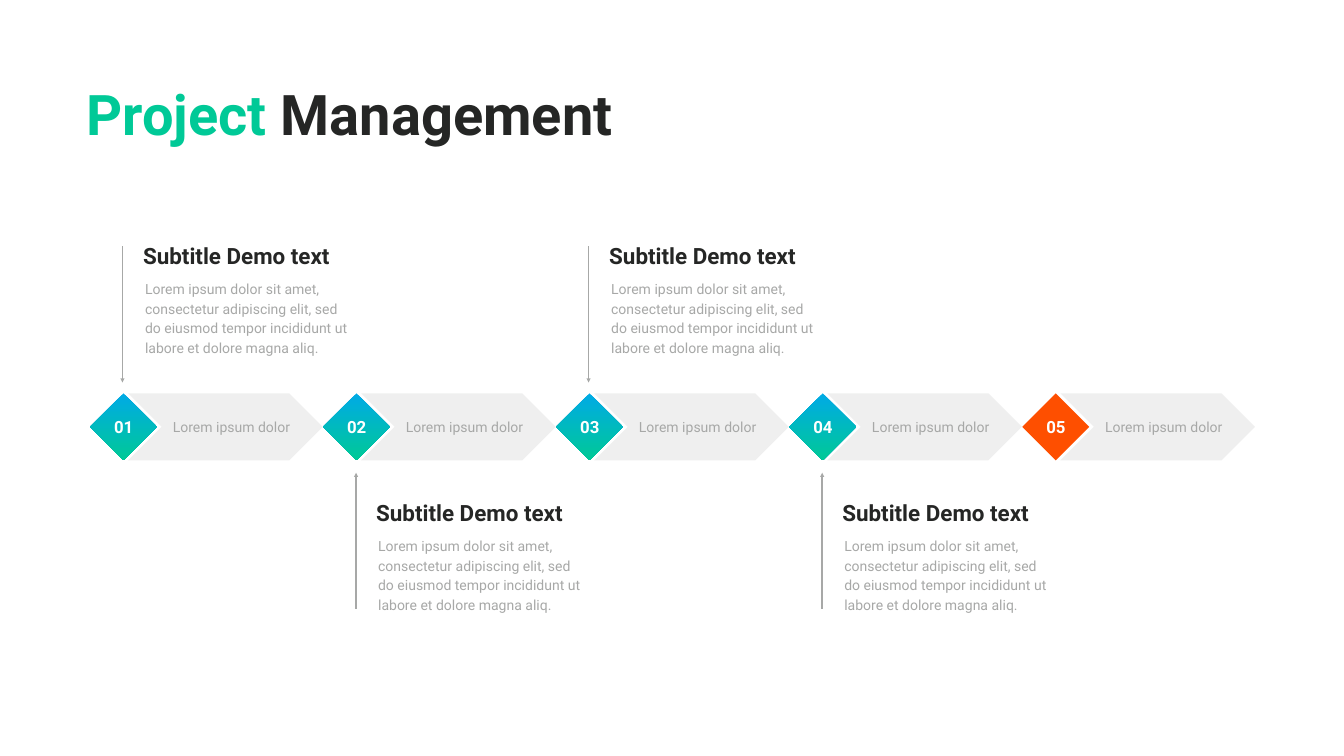
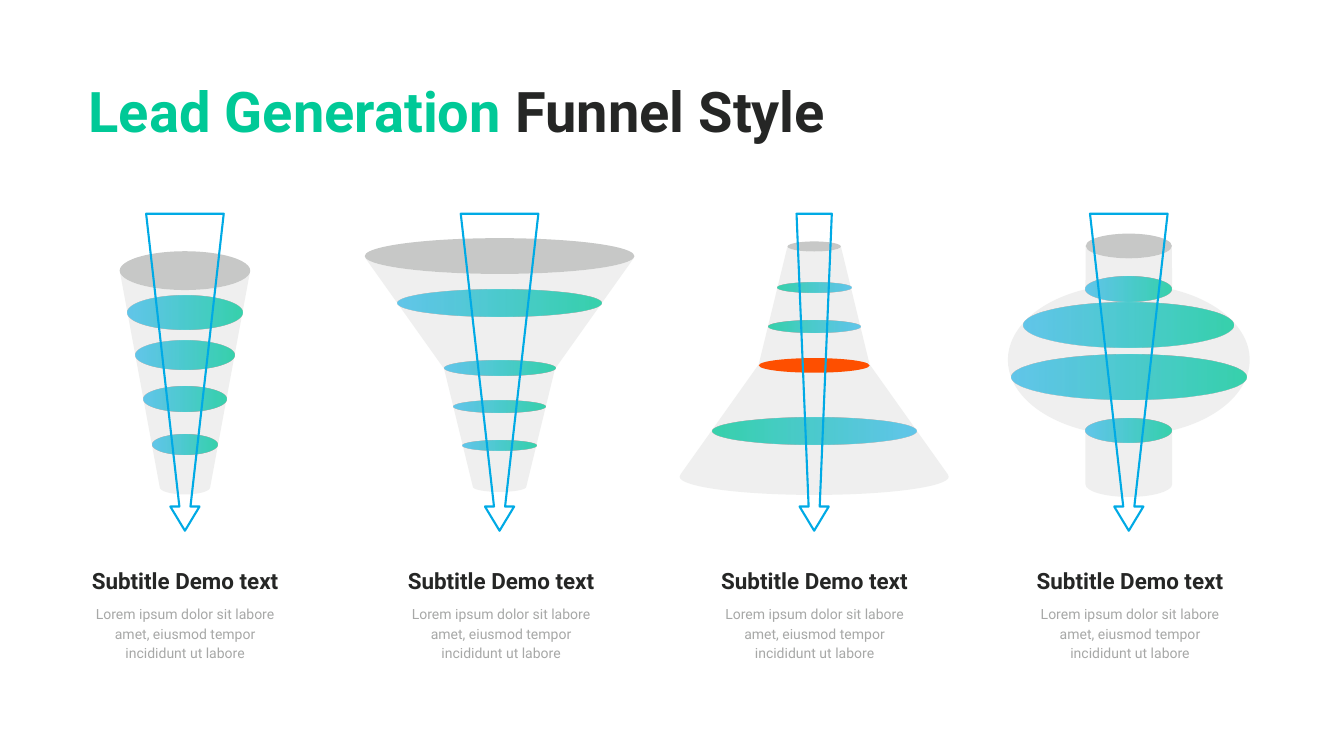
"""Build a project timeline slide and a lead generation funnel slide."""
import math
from dataclasses import dataclass

from pptx import Presentation
from pptx.dml.color import RGBColor
from pptx.enum.shapes import MSO_CONNECTOR, MSO_SHAPE
from pptx.enum.text import MSO_ANCHOR, MSO_AUTO_SIZE, PP_ALIGN
from pptx.oxml.ns import qn
from pptx.util import Inches, Pt
from lxml import etree

LEFT, CENTER = PP_ALIGN.LEFT, PP_ALIGN.CENTER
TOP, MIDDLE = MSO_ANCHOR.TOP, MSO_ANCHOR.MIDDLE
GROW = MSO_AUTO_SIZE.SHAPE_TO_FIT_TEXT
RECT, OVAL = MSO_SHAPE.RECTANGLE, MSO_SHAPE.OVAL
STRAIGHT = MSO_CONNECTOR.STRAIGHT

Point = tuple[float, float]
Segment = list[Point]


@dataclass(frozen=True)
class Theme:
    font: str = "Roboto"
    green: str = "00C997"
    blue: str = "00AAE5"
    orange: str = "FE4F00"
    dark: str = "252625"
    grey: str = "A7A8A7"
    silver: str = "C7C8C7"
    white: str = "FEFFFE"
    title: int = 80
    subtitle: int = 32
    number: int = 24
    body: int = 20
    leading: int = 28
    pale: int = 28
    thin: int = 2
    thick: int = 3


T = Theme()


@dataclass(frozen=True)
class TextStyle:
    size: int
    color: str
    bold: bool = False
    align: PP_ALIGN = LEFT
    anchor: MSO_ANCHOR = TOP
    inset: Point = (0.06, 0.06)
    leading: int | None = None


TITLE = TextStyle(T.title, T.dark, True)
SUBTITLE = TextStyle(T.subtitle, T.dark, True, anchor=MIDDLE)
SUBTITLE_MID = TextStyle(T.subtitle, T.dark, True, CENTER, MIDDLE)
NUMBER = TextStyle(T.number, T.white, True, CENTER, MIDDLE)
BODY = TextStyle(T.body, T.grey, inset=(0.1, 0.05), leading=T.leading)
BODY_MID = TextStyle(T.body, T.grey, align=CENTER, inset=(0.1, 0.05), leading=T.leading)


@dataclass(frozen=True)
class Disk:
    y: float
    w: float
    h: float
    accent: bool = False


@dataclass(frozen=True)
class Funnel:
    caption_x: float
    rim: Disk
    right: list[Segment]
    left: list[Segment]
    bulge: float
    disks: list[Disk]
    spear: float = 0.77
    turn: int = 0


def rgb(color: str) -> RGBColor:
    return RGBColor.from_string(color)


def style_text(sp, runs: list[tuple[str, str]], st: TextStyle) -> None:
    tf = sp.text_frame
    tf.word_wrap = True
    tf.auto_size = GROW
    tf.vertical_anchor = st.anchor
    tf.margin_left = tf.margin_right = Inches(st.inset[0])
    tf.margin_top = tf.margin_bottom = Inches(st.inset[1])
    p = tf.paragraphs[0]
    p.alignment = st.align
    if st.leading:
        p.line_spacing = Pt(st.leading)
    p.font.name, p.font.size, p.font.bold = T.font, Pt(st.size), st.bold
    p.font.color.rgb = rgb(st.color)
    for text, color in runs:
        r = p.add_run()
        r.text = text
        if color != st.color:
            r.font.color.rgb = rgb(color)


def add_text(s, x: float, y: float, w: float, h: float, text: str, st: TextStyle) -> None:
    sp = s.shapes.add_textbox(Inches(x), Inches(y), Inches(w), Inches(h))
    style_text(sp, [(text, st.color)], st)


def add_titled_slide(prs, x: float, y: float, w: float, lead: str, rest: str):
    s = prs.slides.add_slide(prs.slide_layouts[5])
    sp = s.shapes.title
    sp.left, sp.top, sp.width, sp.height = Inches(x), Inches(y), Inches(w), Inches(1.46)
    style_text(sp, [(lead, T.green), (rest, T.dark)], TITLE)
    return s


def set_alpha(sp, *percents: int) -> None:
    for clr, percent in zip(sp.element.spPr.iter(qn("a:srgbClr")), percents):
        etree.SubElement(clr, qn("a:alpha")).set("val", str(percent * 1000))


def plain(sp, color: str):
    sp.shadow.inherit = False
    sp.line.fill.background()
    sp.fill.solid()
    sp.fill.fore_color.rgb = rgb(color)
    return sp


def add_preset(s, kind, cx: float, cy: float, w: float, h: float, color: str, turn: int = 0):
    sp = s.shapes.add_shape(kind, Inches(cx - w / 2), Inches(cy - h / 2), Inches(w), Inches(h))
    sp.rotation = turn
    return plain(sp, color)


def fill_gradient(sp, start: str, end: str, angle: int, last: float = 1) -> None:
    sp.fill.gradient()
    sp.fill.gradient_angle = angle
    first_stop, last_stop = sp.fill.gradient_stops
    first_stop.color.rgb, last_stop.color.rgb = rgb(start), rgb(end)
    first_stop.position, last_stop.position = 0, last


def lines(*points: Point) -> list[Segment]:
    return [[pt] for pt in points]


def arc(rx: float, ry: float, cy: float, start: float, end: float) -> list[Segment]:
    """Return two cubic segments that follow an ellipse centred on x = 0."""
    step = (end - start) / 2
    k = 4 / 3 * math.tan(step / 4)
    segments = []
    for a in (start, start + step):
        b = a + step
        unit = [(math.cos(a) - k * math.sin(a), math.sin(a) + k * math.cos(a)),
                (math.cos(b) + k * math.sin(b), math.sin(b) - k * math.cos(b)),
                (math.cos(b), math.sin(b))]
        segments.append([(rx * x, cy + ry * y) for x, y in unit])
    return segments


def add_outline(s, cx: float, cy: float, start: Point, segments: list[Segment]):
    """Draw a closed outline; a segment of three points is a cubic curve."""
    pts = [(Inches(cx + x), Inches(cy + y)) for x, y in [start, *sum(segments, [])]]
    fb = s.shapes.build_freeform(*pts[0])
    fb.add_line_segments(pts[1:], close=True)
    sp = fb.convert_to_shape()
    steps = iter(list(sp.element.spPr.iter(qn("a:lnTo"))))
    for segment in segments:
        nodes = [next(steps) for _ in segment]
        if len(nodes) == 3:
            curve = etree.Element(qn("a:cubicBezTo"))
            nodes[0].addprevious(curve)
            for node in nodes:
                curve.append(node[0])
                node.getparent().remove(node)
    return sp


def add_arrow(s, x: float, y1: float, y2: float, end: str) -> None:
    cn = s.shapes.add_connector(STRAIGHT, Inches(x), Inches(y1), Inches(x), Inches(y2))
    cn.line.color.rgb = rgb(T.grey)
    cn.line.width = Pt(T.thin)
    ln = cn.element.spPr.find(qn("a:ln"))
    etree.SubElement(ln, qn(end)).set("type", "triangle")
    etree.SubElement(cn.element.spPr, qn("a:effectLst"))


def add_callout(s, dx: float, above: bool) -> None:
    top = 4.75 if above else 9.85
    if above:
        add_arrow(s, 2.43 + dx, 4.89, 7.59, "a:tailEnd")
    else:
        add_arrow(s, 2.44 + dx, 9.38, 12.09, "a:headEnd")
    add_text(s, 2.78 + dx, top, 4.5, 0.65, "Subtitle Demo text", SUBTITLE)
    add_text(s, 2.78 + dx, top + 0.71, 4.34, 1.64,
             "Lorem ipsum dolor sit amet, consectetur adipiscing elit, "
             "sed do eiusmod tempor incididunt ut labore et dolore magna aliq.", BODY)


def add_band(s, cx: float, cy: float) -> None:
    sp = add_outline(s, cx, cy, (-1.6, 0.66), lines(
        (0.66, -1.6), (1.6, -1.6), (1.6, -0.66), (-0.66, 1.6), (-0.66, 0.66)))
    sp.rotation = 45
    set_alpha(plain(sp, T.silver), T.pale)


def build_timeline(prs) -> None:
    s = add_titled_slide(prs, 1.66, 1.52, 12.58, "Project ", "Management")
    steps, mid = 5, 8.47
    pitch = 18.5 / (steps - 1)
    for i in range(steps):
        dx = i * pitch
        diamond = add_preset(s, RECT, 2.45 + dx, mid, 0.94, 0.94, T.orange, 45)
        if i < steps - 1:
            fill_gradient(diamond, T.blue, T.green, 315)
        add_band(s, 4.14 + dx, mid)
        add_text(s, 3.33 + dx, 8.19, 2.98, 0.47, "Lorem ipsum dolor", BODY)
        add_text(s, 2.07 + dx, 8.2, 0.77, 0.52, f"{i + 1:02}", NUMBER)
        if i < steps - 1:
            add_callout(s, dx, above=i % 2 == 0)


def add_funnel(s, cx: float, f: Funnel) -> None:
    add_preset(s, OVAL, cx, f.rim.y, f.rim.w, f.rim.h, T.silver, f.turn)
    foot_w, foot_y = f.right[-1][-1]
    body = (arc(f.rim.w / 2, f.rim.h / 2, f.rim.y, math.pi, 0)
            + f.right + arc(foot_w, f.bulge, foot_y, 0, math.pi) + f.left)
    set_alpha(plain(add_outline(s, cx, 0, (-f.rim.w / 2, f.rim.y), body), T.silver), T.pale)
    for d in f.disks:
        sp = add_preset(s, OVAL, cx, d.y, d.w, d.h, T.orange, f.turn)
        if not d.accent:
            fill_gradient(sp, T.green, T.blue, 180, 0.99)
            set_alpha(sp, 77, 59)
    spear = add_outline(s, cx, 0, (-f.spear, 4.24), lines(
        (-0.11, 10.05), (-0.29, 10.05), (0, 10.53), (0.29, 10.05), (0.11, 10.05),
        (f.spear, 4.24)))
    spear.shadow.inherit = False
    spear.fill.background()
    spear.line.color.rgb = rgb(T.blue)
    spear.line.width = Pt(T.thick)


def build_funnels(prs) -> None:
    s = add_titled_slide(prs, 1.7, 1.46, 15.71, "Lead Generation ", "Funnel Style")
    neck, belly, belly_h, belly_y = 0.86, 2.4, 1.5, 7.14
    swing = math.acos(neck / belly)
    shoulder = belly_y - belly_h * math.sin(swing)
    hip = 2 * belly_y - shoulder
    funnels = [
        Funnel(1.71, Disk(5.37, 2.59, 0.77), lines((0.5, 9.67)), [], 0.14,
               [Disk(6.2, 2.29, 0.68), Disk(7.04, 1.97, 0.58),
                Disk(7.92, 1.64, 0.49), Disk(8.82, 1.3, 0.39)]),
        Funnel(7.98, Disk(5.08, 5.35, 0.71), lines((2.65, 5.14), (1.1, 7.32), (0.53, 9.66)),
               lines((-1.1, 7.32), (-2.65, 5.14)), 0.1,
               [Disk(6.01, 4.04, 0.54), Disk(7.3, 2.2, 0.29),
                Disk(8.07, 1.83, 0.24), Disk(8.84, 1.46, 0.19)]),
        Funnel(14.2, Disk(4.89, 1.06, 0.2), lines((1.1, 7.23), (2.65, 9.41), (2.67, 9.46)),
               lines((-2.65, 9.41), (-1.1, 7.23)), 0.36,
               [Disk(8.55, 4.04, 0.54), Disk(7.25, 2.2, 0.29, accent=True),
                Disk(6.48, 1.83, 0.24), Disk(5.7, 1.46, 0.19)], spear=0.35, turn=180),
        Funnel(20.46, Disk(4.88, 1.71, 0.49),
               lines((neck, shoulder)) + arc(belly, belly_h, belly_y, -swing, swing)
               + lines((neck, 9.61)),
               lines((-neck, hip))
               + arc(belly, belly_h, belly_y, math.pi - swing, math.pi + swing), 0.25,
               [Disk(5.73, 1.71, 0.49), Disk(8.54, 1.7, 0.49),
                Disk(7.48, 4.65, 0.89), Disk(6.44, 4.17, 0.89)]),
    ]
    pitch = 18.73 / (len(funnels) - 1)
    for i, f in enumerate(funnels):
        add_funnel(s, 3.67 + pitch * i, f)
        add_text(s, f.caption_x, 11.2, 3.93, 0.65, "Subtitle Demo text", SUBTITLE_MID)
        add_text(s, f.caption_x, 11.91, 3.93, 1.25,
                 "Lorem ipsum dolor sit labore amet, eiusmod tempor incididunt ut labore", BODY_MID)


def main() -> None:
    prs = Presentation()
    prs.slide_width, prs.slide_height = Inches(26.67), Inches(15)
    build_timeline(prs)
    build_funnels(prs)
    prs.save("out.pptx")


if __name__ == "__main__":
    main()
